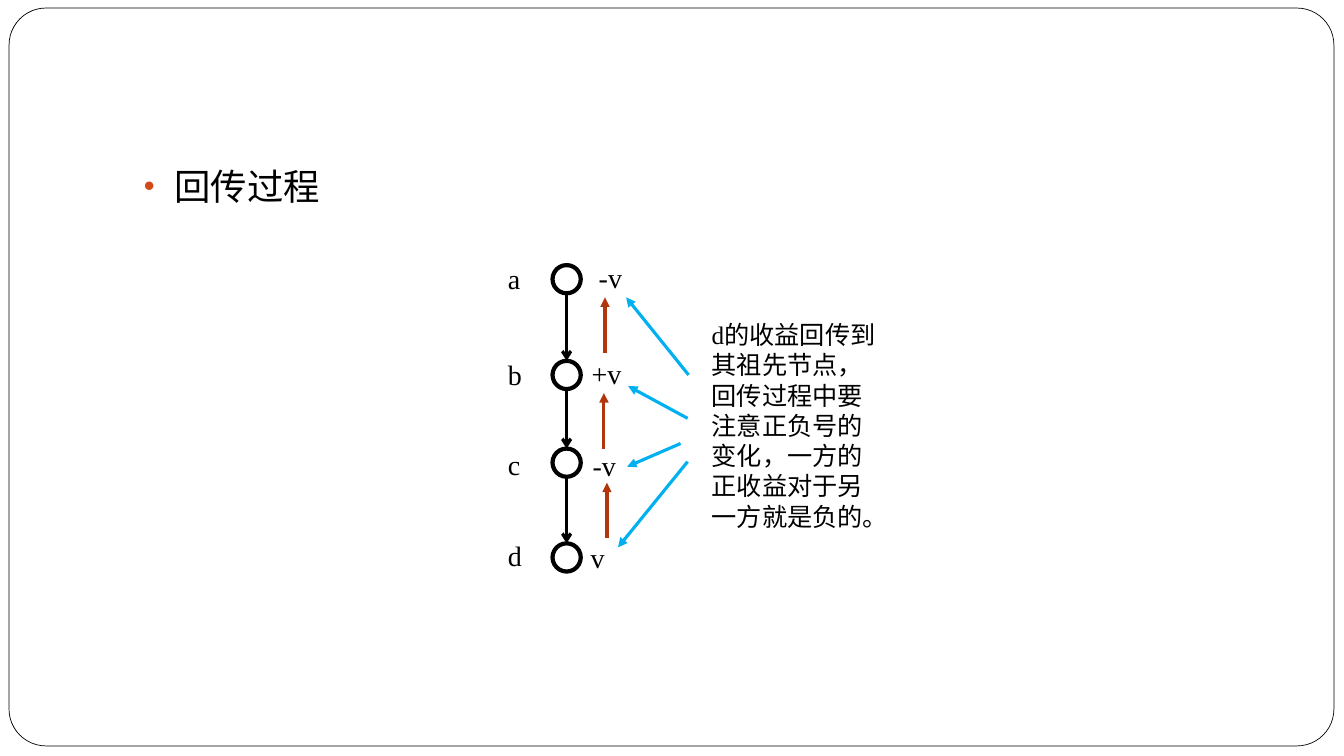
from lxml import etree
from pptx import Presentation
from pptx.dml.color import RGBColor
from pptx.enum.shapes import MSO_CONNECTOR, MSO_SHAPE
from pptx.oxml.ns import qn
from pptx.util import Pt

PX = 9144  # 100 px to the inch
BLACK = RGBColor(0x00, 0x00, 0x00)
WHITE = RGBColor(0xFF, 0xFF, 0xFF)
ORANGE = RGBColor(0xD3, 0x48, 0x17)
RUST = RGBColor(0xB1, 0x36, 0x0B)
BLUE = RGBColor(0x00, 0xB0, 0xF0)

prs = Presentation()
prs.slide_width, prs.slide_height = 1333 * PX, 750 * PX
s = prs.slides.add_slide(prs.slide_layouts[6])


def add_text(text, x, y, w, h, size):
    tf = s.shapes.add_textbox(x * PX, y * PX, w * PX, h * PX).text_frame
    tf.word_wrap = True
    p = tf.paragraphs[0]
    p.text = text
    p.font.size = Pt(size)
    p.font.name = "Times New Roman"
    p.font.color.rgb = BLACK
    return p


def add_arrow(x1, y1, x2, y2, color, end="tailEnd", kind="triangle"):
    line = s.shapes.add_connector(MSO_CONNECTOR.STRAIGHT, x1 * PX, y1 * PX, x2 * PX, y2 * PX)
    line.line.color.rgb = color
    line.line.width = Pt(2.25)
    etree.SubElement(line.line._get_or_add_ln(), qn("a:" + end), type=kind)
    etree.SubElement(line._element.spPr, qn("a:effectLst"))


frame = s.shapes.add_shape(MSO_SHAPE.ROUNDED_RECTANGLE, 9 * PX, 8 * PX, 1314 * PX, 732 * PX)
frame.adjustments[0] = 0.05
frame.shadow.inherit = False
frame.fill.solid()
frame.fill.fore_color.rgb = WHITE
frame.line.color.rgb = BLACK
frame.line.width = Pt(0.5)

heading = add_text("回传过程", 133, 158, 1133, 500, 26)
pPr = heading._p.get_or_add_pPr()
pPr.set("marL", str(30 * PX))
pPr.set("indent", str(-30 * PX))
bullet_color = etree.Element(qn("a:buClr"))
etree.SubElement(bullet_color, qn("a:srgbClr"), val=str(ORANGE))
bullet_size = etree.Element(qn("a:buSzPct"), val="85000")
bullet_font = etree.Element(qn("a:buFont"), typeface="Arial")
bullet_char = etree.Element(qn("a:buChar"), char="•")
for i, bullet_part in enumerate((bullet_color, bullet_size, bullet_font, bullet_char)):
    pPr.insert(i, bullet_part)

# Search path: name, node top, name top, value, value left, value top, value width
NODE_X, NODE_D = 548, 28
nodes = [
    ("a", 263, 255, "-v", 584, 254, 44),
    ("b", 358, 350, "+v", 577, 349, 58),
    ("c", 445, 439, "-v", 578, 440, 44),
    ("d", 539, 529, "v", 576, 531, 44),
]
center = NODE_X + NODE_D // 2
parent_bottom = None
for name, top, name_y, value, value_x, value_y, value_w in nodes:
    node = s.shapes.add_shape(MSO_SHAPE.OVAL, NODE_X * PX, top * PX, NODE_D * PX, NODE_D * PX)
    node.shadow.inherit = False
    node.fill.background()
    node.line.color.rgb = BLACK
    node.line.width = Pt(3)
    if parent_bottom is not None:
        add_arrow(center, top, center, parent_bottom, BLACK, "headEnd", "arrow")
    parent_bottom = top + NODE_D
    add_text(name, 494, name_y, 44, 44, 20)
    add_text(value, value_x, value_y, value_w, 44, 20)

for x, y in [(602, 534), (599, 445), (600, 350)]:
    add_arrow(x, y, x, y - 55, RUST)

add_text("d的收益回传到其祖先节点，回传过程中要注意正负号的变化，一方的正收益对于另一方就是负的。",
         696, 312, 193, 222, 18)
for ends in [(683, 372, 621, 295), (682, 415, 623, 383),
             (682, 458, 613, 543), (675, 440, 622, 463)]:
    add_arrow(*ends, BLUE)

prs.save("out.pptx")
